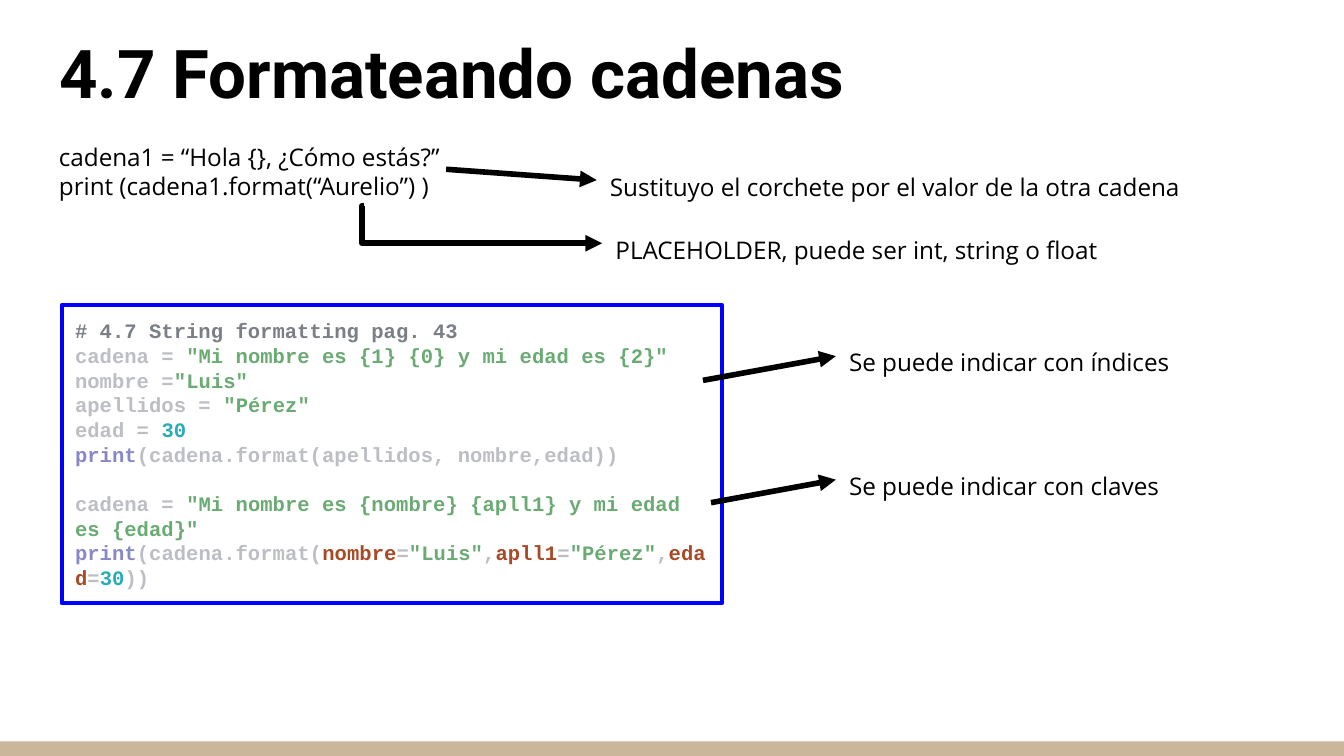
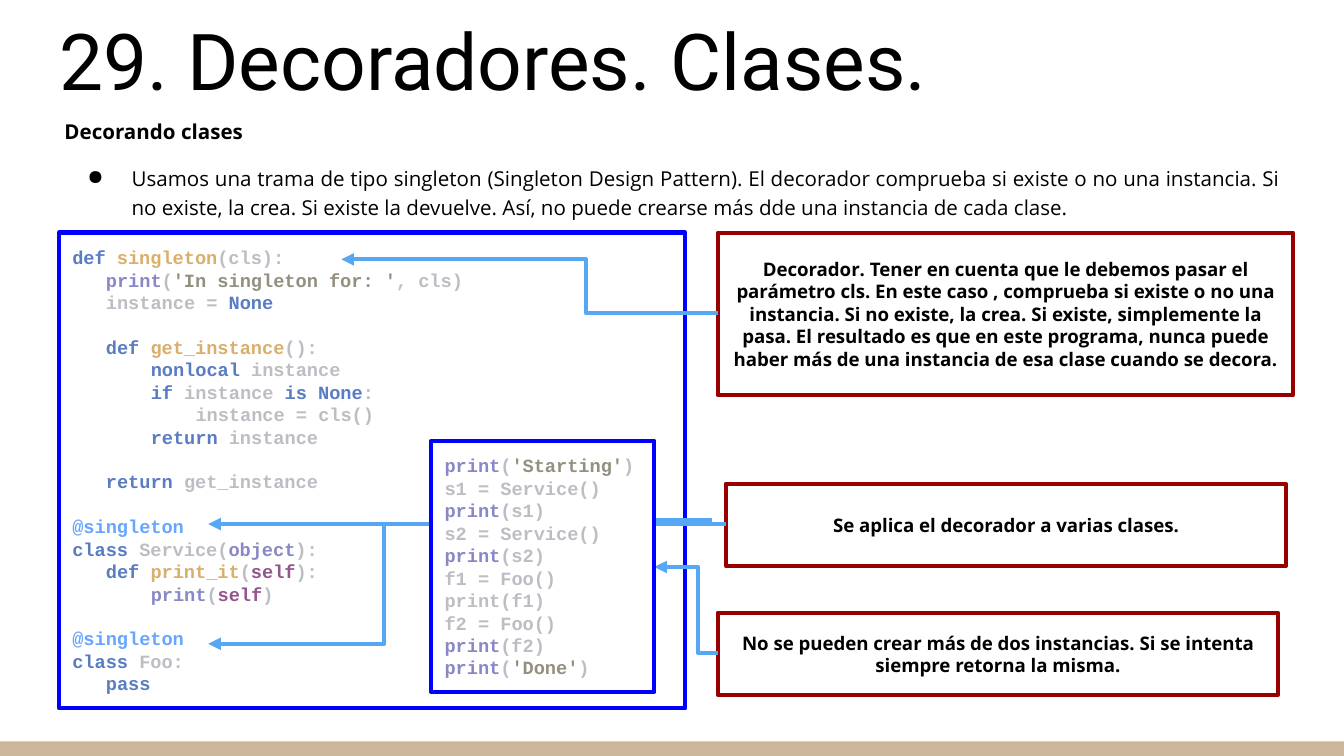
from lxml import etree
from pptx import Presentation
from pptx.dml.color import RGBColor
from pptx.enum import shapes, text
from pptx.oxml import ns
from pptx.util import Pt

BLACK, WHITE, BAND = "000000", "FFFFFF", "CCB69B"
BLUE, RED, SKY = "0000FF", "980000", "56A8F5"
TOP, MIDDLE, BOTTOM = text.MSO_ANCHOR.TOP, text.MSO_ANCHOR.MIDDLE, text.MSO_ANCHOR.BOTTOM
LEFT, CENTER, JUSTIFY = text.PP_ALIGN.LEFT, text.PP_ALIGN.CENTER, text.PP_ALIGN.JUSTIFY
STRAIGHT, ELBOW = shapes.MSO_CONNECTOR.STRAIGHT, shapes.MSO_CONNECTOR.ELBOW

SYNTAX = {
    "comment": "7A7E85", "plain": "BCBEC4", "string": "6AAB73", "number": "2AACB8",
    "builtin": "8888C6", "argument": "AA4926", "keyword": "597CC2", "function": "D9AF6C",
    "quote": "94907F", "decorator": "66A6FF", "self": "94558D",
}
LINE_RATIO, CHAR_RATIO = 1.2, 0.6

FORMAT_CODE = [
    (0, ("comment", "# 4.7 String formatting pag. 43")),
    (0, ("plain", "cadena = "), ("string", '"Mi nombre es {1} {0} y mi edad es {2}"')),
    (0, ("plain", "nombre ="), ("string", '"Luis"')),
    (0, ("plain", "apellidos = "), ("string", '"Pérez"')),
    (0, ("plain", "edad = "), ("number", "30")),
    (0, ("builtin", "print"), ("plain", "(cadena.format(apellidos, nombre,edad))")),
    None,
    (0, ("plain", "cadena = "),
     ("string", '"Mi nombre es {nombre} {apll1} y mi edad es {edad}"')),
    (0, ("builtin", "print"), ("plain", "(cadena.format("), ("argument", "nombre"),
     ("plain", "="), ("string", '"Luis"'), ("plain", ","), ("argument", "apll1"),
     ("plain", "="), ("string", '"Pérez"'), ("plain", ","), ("argument", "edad"),
     ("plain", "="), ("number", "30"), ("plain", "))")),
]

SINGLETON_CODE = [
    (0, ("keyword", "def "), ("function", "singleton"), ("plain", "(cls):")),
    (3, ("builtin", "print"), ("plain", "("), ("quote", "'In singleton for: '"),
     ("plain", ", cls)")),
    (3, ("plain", "instance = "), ("keyword", "None")),
    None,
    (3, ("keyword", "def "), ("function", "get_instance"), ("plain", "():")),
    (7, ("keyword", "nonlocal "), ("plain", "instance")),
    (7, ("keyword", "if "), ("plain", "instance "), ("keyword", "is None"), ("plain", ":")),
    (11, ("plain", "instance = cls()")),
    (7, ("keyword", "return "), ("plain", "instance")),
    None,
    (3, ("keyword", "return "), ("plain", "get_instance")),
    None,
    (0, ("decorator", "@singleton")),
    (0, ("keyword", "class "), ("plain", "Service("), ("builtin", "object"), ("plain", "):")),
    (3, ("keyword", "def "), ("function", "print_it"), ("plain", "("), ("self", "self"),
     ("plain", "):")),
    (7, ("builtin", "print"), ("plain", "("), ("self", "self"), ("plain", ")")),
    None,
    (0, ("decorator", "@singleton")),
    (0, ("keyword", "class "), ("plain", "Foo:")),
    (3, ("keyword", "pass")),
]

USAGE_CODE = [
    (0, ("builtin", "print"), ("plain", "("), ("quote", "'Starting'"), ("plain", ")")),
    (0, ("plain", "s1 = Service()")),
    (0, ("builtin", "print"), ("plain", "(s1)")),
    (0, ("plain", "s2 = Service()")),
    (0, ("builtin", "print"), ("plain", "(s2)")),
    (0, ("plain", "f1 = Foo()")),
    (0, ("plain", "print(f1)")),
    (0, ("plain", "f2 = Foo()")),
    (0, ("builtin", "print"), ("plain", "(f2)")),
    (0, ("builtin", "print"), ("plain", "("), ("quote", "'Done'"), ("plain", ")")),
]

FORMAT_NOTES = [
    ((24.5, 69.1, 289.4, 91.4),
     ["cadena1 = “Hola {}, ¿Cómo estás?”", "print (cadena1.format(“Aurelio”) )"]),
    ((319.7, 85, 347, 23.8), ["Sustituyo el corchete por el valor de la otra cadena"]),
    ((322.6, 118.8, 347, 23.8), ["PLACEHOLDER, puede ser int, string o float"]),
    ((447.8, 178.6, 188, 23.8), ["Se puede indicar con índices"]),
    ((447.8, 245.5, 188, 23.8), ["Se puede indicar con claves"]),
]
FORMAT_ARROWS = [
    (195.1, 110.2, 322.6, 130.3, -0.01),
    (376.6, 203.8, 447.8, 190.8, None),
    (380.9, 269.3, 447.8, 257, None),
    (239, 90.7, 319.7, 96.5, None),
]

DECORATOR_HEADING = "Decorando clases"
DECORATOR_POINT = (
    "Usamos una trama de tipo singleton (Singleton Design Pattern). El decorador comprueba "
    "si existe o no una instancia. Si no existe, la crea. Si existe la devuelve. Así, no "
    "puede crearse más dde una instancia de cada clase."
)
DECORATOR_CALLOUTS = [
    ((384.5, 124.6, 308.2, 87.1),
     "Decorador. Tener en cuenta que le debemos pasar el parámetro cls. En este caso , "
     "comprueba si existe o no una instancia. Si no existe, la crea. Si existe, simplemente "
     "la pasa. El resultado es que en este programa, nunca puede haber más de una instancia "
     "de esa clase cuando se decora."),
    ((388.8, 259.2, 300.2, 43.9), "Se aplica el decorador a varias clases."),
    ((384.5, 328.3, 300.2, 43.9),
     "No se pueden crear más de dos instancias. Si se intenta siempre retorna la misma."),
]
DECORATOR_ARROWS = [
    (384.5, 167.8, 182.9, 139, 0.35),
    (381.6, 278.6, 111.6, 280.8, 0.5),
    (384.5, 349.9, 350.6, 303.8, 0.31),
    (388.8, 280.8, 111.6, 344.9, 0.66),
]


def color(value):
    return RGBColor.from_string(value)


def assign(target, values):
    for name, value in values.items():
        setattr(target, name, value)


def add_element(parent, tag, **attributes):
    return etree.SubElement(parent, ns.qn(tag), attributes)


def prepare_frame(box, anchor):
    frame = box.text_frame
    assign(frame, {
        "word_wrap": True, "auto_size": text.MSO_AUTO_SIZE.NONE, "vertical_anchor": anchor,
        "margin_left": Pt(7.2), "margin_right": Pt(7.2),
        "margin_top": Pt(7.2), "margin_bottom": Pt(7.2),
    })
    return frame


def next_paragraph(frame, is_first, **values):
    para = frame.paragraphs[0] if is_first else frame.add_paragraph()
    assign(para, {"alignment": LEFT, **values})
    return para


def add_span(para, words, size, font, ink=BLACK, bold=False):
    span = para.add_run()
    span.text = words
    assign(span.font, {"name": font, "size": Pt(size), "bold": bold})
    span.font.color.rgb = color(ink)


def indent(para, margin, first=0):
    properties = para._p.get_or_add_pPr()
    properties.set("marL", str(Pt(margin)))
    properties.set("indent", str(Pt(first)))
    return properties


def add_panel(page, area, fill, line=None):
    panel = page.shapes.add_shape(shapes.MSO_SHAPE.RECTANGLE, *map(Pt, area))
    panel.shadow.inherit = False
    panel.fill.solid()
    panel.fill.fore_color.rgb = color(fill)
    if line:
        panel.line.color.rgb = color(line)
        panel.line.width = Pt(2.25)
    else:
        panel.line.fill.background()
    return panel


def add_note(page, area, lines):
    frame = prepare_frame(page.shapes.add_textbox(*map(Pt, area)), TOP)
    for number, line in enumerate(lines):
        add_span(next_paragraph(frame, number == 0), line, 13, "Open Sans")


def add_code(page, area, lines, size):
    frame = prepare_frame(add_panel(page, area, WHITE, BLUE), TOP)
    gap = 0
    for number, line in enumerate(lines):
        if line is None:
            gap = size * LINE_RATIO
            continue
        depth, *spans = line
        para = next_paragraph(frame, number == 0, space_before=Pt(gap))
        indent(para, depth * size * CHAR_RATIO)
        for kind, words in spans:
            add_span(para, words, size, "Courier New", SYNTAX[kind], True)
        gap = 0


def add_callout(page, area, words):
    frame = prepare_frame(add_panel(page, area, WHITE, RED), MIDDLE)
    add_span(next_paragraph(frame, True, alignment=CENTER), words, 10, "Open Sans", bold=True)


def add_arrow(page, ends, bend, ink, width):
    kind = STRAIGHT if bend is None else ELBOW
    arrow = page.shapes.add_connector(kind, *map(Pt, ends))
    arrow.line.color.rgb = color(ink)
    arrow.line.width = Pt(width)
    properties = arrow._element.spPr
    add_element(arrow.line._get_or_add_ln(), "a:tailEnd", type="triangle")
    add_element(properties, "a:effectLst")
    if bend is not None:
        guides = properties.find(".//" + ns.qn("a:avLst"))
        add_element(guides, "a:gd", name="adj1", fmla=f"val {round(bend * 100000)}")


def add_page(deck, title, area, size, bold):
    page = deck.slides.add_slide(deck.slide_layouts[5])
    add_panel(page, (0, 397.2, 720, 7.8), BAND)
    box = page.shapes.title
    assign(box, dict(zip(("left", "top", "width", "height"), map(Pt, area))))
    para = next_paragraph(prepare_frame(box, BOTTOM), True)
    add_span(para, title, size, "Roboto", bold=bold)
    return page


def add_introduction(page):
    box = page.shapes.add_textbox(*map(Pt, (27.4, 64.8, 666, 49.7)))
    frame = prepare_frame(box, MIDDLE)
    layout = {"alignment": JUSTIFY, "line_spacing": 1.15}
    heading = next_paragraph(frame, True, **layout)
    add_span(heading, DECORATOR_HEADING, 11, "Open Sans", bold=True)
    point = next_paragraph(frame, False, space_before=Pt(10), **layout)
    properties = indent(point, 36, -23.75)
    add_element(add_element(properties, "a:buClr"), "a:srgbClr", val=BLACK)
    add_element(properties, "a:buChar", char="●")
    add_span(point, DECORATOR_POINT, 11, "Open Sans")


def build_formatting(deck):
    page = add_page(deck, "4.7 Formateando cadenas", (24.5, 25.2, 671, 41.8), 36, True)
    for area, lines in FORMAT_NOTES:
        add_note(page, area, lines)
    add_code(page, (33.1, 163.4, 353.5, 159.8), FORMAT_CODE, 11)
    for *ends, bend in FORMAT_ARROWS:
        add_arrow(page, ends, bend, BLACK, 3)


def build_decorators(deck):
    page = add_page(deck, "29. Decoradores. Clases.", (24.5, 19.4, 671, 44.6), 42, False)
    add_introduction(page)
    add_code(page, (31.7, 124.6, 335.5, 254.9), SINGLETON_CODE, 10)
    for area, words in DECORATOR_CALLOUTS:
        add_callout(page, area, words)
    for *ends, bend in DECORATOR_ARROWS:
        add_arrow(page, ends, bend, SKY, 2.25)
    add_code(page, (231.1, 236.2, 119.5, 134.6), USAGE_CODE, 10)


def main():
    deck = Presentation()
    assign(deck, {"slide_width": Pt(720), "slide_height": Pt(405)})
    build_formatting(deck)
    build_decorators(deck)
    deck.save("out.pptx")


if __name__ == "__main__":
    main()
